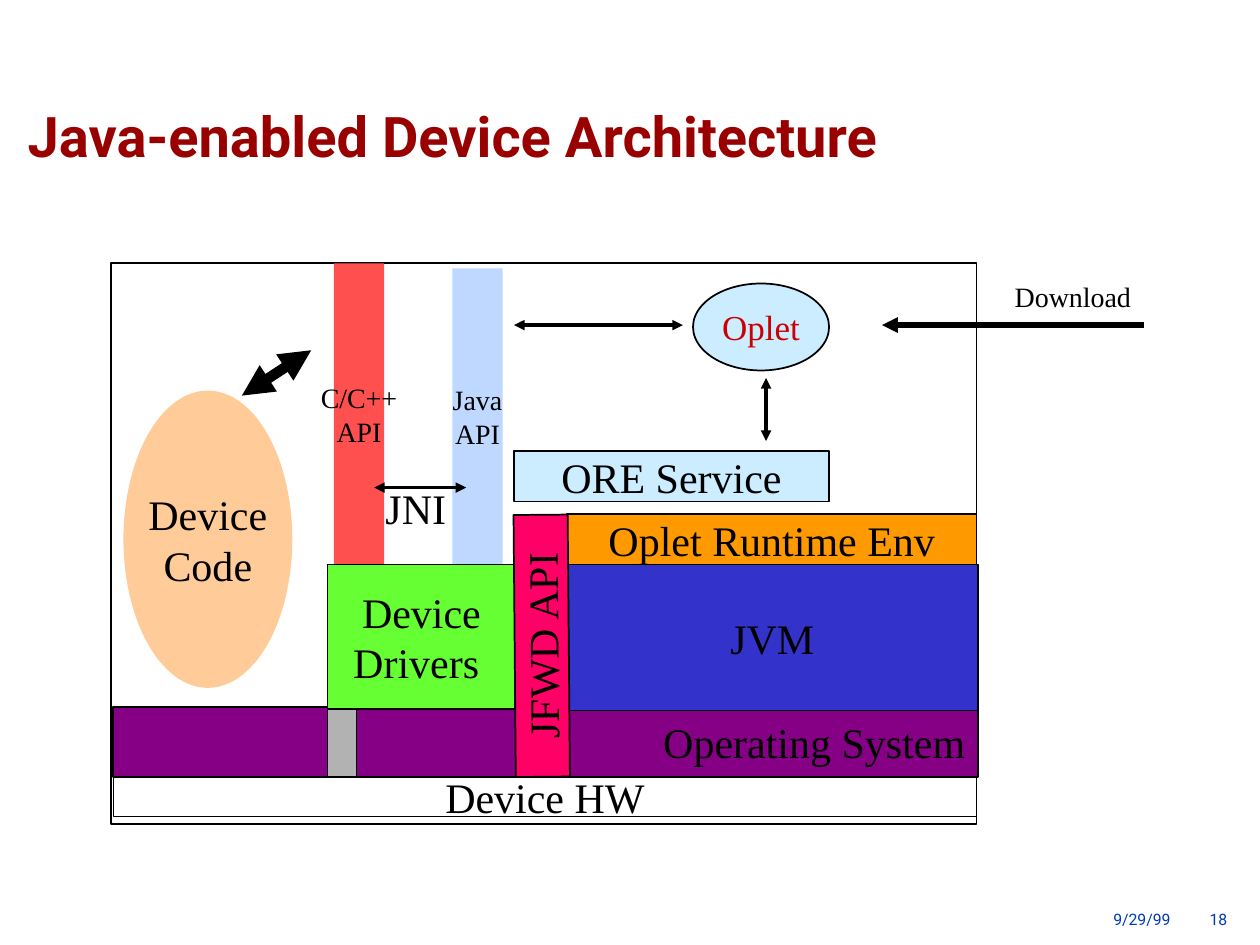
from dataclasses import dataclass
from typing import Optional

import pptx
import pptx.dml.color
import pptx.enum.shapes
import pptx.enum.text
import pptx.oxml
import pptx.oxml.ns
import pptx.util

Inches = pptx.util.Inches
Pt = pptx.util.Pt
Kind = pptx.enum.shapes.MSO_SHAPE
Align = pptx.enum.text.PP_ALIGN
Anchor = pptx.enum.text.MSO_ANCHOR

COLORS = {
    "black": "000000", "maroon": "990000", "navy": "003BB2", "purple": "860086",
    "blue": "3333CC", "sky": "CCECFF", "crimson": "CC0000", "red": "FF5050",
    "pale": "BED8FF", "peach": "FFCC99", "orange": "FF9900", "green": "66FF33",
    "gray": "B2B2B2", "pink": "FF0066",
}
SERIF = "Times New Roman"
SANS = "Roboto"


@dataclass
class Block:
    left: float
    top: float
    width: float
    height: float
    text: str = ""
    fill: Optional[str] = None
    edge: bool = True
    kind: Kind = Kind.RECTANGLE
    size: float = 24
    ink: str = "black"
    align: Align = Align.CENTER
    turn: float = 0


@dataclass
class Label:
    left: float
    top: float
    width: float
    height: float
    text: str
    size: float
    font: str = SERIF
    ink: str = "black"
    bold: bool = False
    align: Align = Align.CENTER
    anchor: Anchor = Anchor.TOP
    inset: tuple[float, float] = (0.1, 0.05)
    spacing: float = 1


@dataclass
class Arrow:
    start: tuple[float, float]
    end: tuple[float, float]
    weight: float = 2
    double: bool = True


BLOCKS = [
    Block(0.88, 2.09, 6.87, 4.45),
    Block(0.9, 6.17, 6.85, 0.31, "Device HW"),
    Block(0.9, 5.61, 6.86, 0.56, "Operating System", "purple", align=Align.RIGHT),
    Block(4.5, 4.48, 3.26, 1.16, "JVM", "blue"),
    Block(5.5, 2.25, 1.08, 0.69, "Oplet", "sky", kind=Kind.OVAL, size=20, ink="crimson"),
    Block(2.65, 2.09, 0.4, 2.4, "C/C++\nAPI", "red", edge=False, size=16),
    Block(3.59, 2.13, 0.4, 2.35, "Java\nAPI", "pale", edge=False, size=16),
    Block(0.98, 3.1, 1.34, 2.36, "Device\nCode", "peach", edge=False, kind=Kind.OVAL),
    Block(4.5, 4.08, 3.25, 0.4, "Oplet Runtime Env", "orange"),
    Block(2.6, 4.48, 1.49, 1.15, "Device\nDrivers ", "green"),
    Block(2.6, 5.63, 0.23, 0.54, fill="gray"),
    Block(3.26, 4.91, 2.08, 0.43, "JFWD API", "pink", turn=269.5),
    Block(4.08, 3.58, 2.5, 0.4, "ORE Service", "sky"),
]
FOOTER = dict(size=9, font=SANS, ink="navy", align=Align.RIGHT, inset=(0.09, 0))
LABELS = [
    Label(0.17, 0.67, 8.59, 0.73, "Java-enabled Device Architecture", 32, SANS,
          "maroon", True, Align.LEFT, Anchor.BOTTOM, (0.05, 0.05), 0.93),
    Label(2.96, 3.78, 0.68, 0.5, "JNI", 24),
    Label(7.5, 2.17, 2.03, 0.36, "Download", 16, anchor=Anchor.MIDDLE),
    Label(8.38, 7.22, 1, 0.17, "9/29/99", **FOOTER),
    Label(9.33, 7.22, 0.5, 0.17, "18", **FOOTER),
]
ARROWS = [
    Arrow((1.92, 3.14), (2.47, 2.78), weight=6),
    Arrow((4.08, 2.58), (5.42, 2.58)),
    Arrow((2.97, 3.87), (3.7, 3.87)),
    Arrow((6.08, 3), (6.08, 3.5)),
    Arrow((9.08, 2.58), (7, 2.58), weight=3, double=False),
]


def tint(name: str) -> pptx.dml.color.RGBColor:
    return pptx.dml.color.RGBColor.from_string(COLORS[name])


def place(item: Block | Label) -> list[int]:
    return [Inches(n) for n in (item.left, item.top, item.width, item.height)]


def write(frame, item: Block | Label, font: str, inset: tuple[float, float],
          anchor: Anchor, wrap: bool) -> None:
    frame.word_wrap = wrap
    frame.vertical_anchor = anchor
    frame.margin_left = frame.margin_right = Inches(inset[0])
    frame.margin_top = frame.margin_bottom = Inches(inset[1])
    frame.text = item.text
    for para in frame.paragraphs:
        para.alignment = item.align
        para.font.name = font
        para.font.size = Pt(item.size)
        para.font.color.rgb = tint(item.ink)


def draw_block(slide, block: Block) -> None:
    shape = slide.shapes.add_shape(block.kind, *place(block))
    shape.shadow.inherit = False
    shape.rotation = block.turn
    if block.fill:
        shape.fill.solid()
        shape.fill.fore_color.rgb = tint(block.fill)
    else:
        shape.fill.background()
    if block.edge:
        shape.line.color.rgb = tint("black")
        shape.line.width = Pt(1)
    else:
        shape.line.fill.background()
    if block.text:
        write(shape.text_frame, block, SERIF, (0.1, 0.05), Anchor.MIDDLE, False)


def draw_label(slide, label: Label) -> None:
    frame = slide.shapes.add_textbox(*place(label)).text_frame
    write(frame, label, label.font, label.inset, label.anchor, True)
    for para in frame.paragraphs:
        para.font.bold = label.bold
        para.line_spacing = label.spacing


def draw_arrow(slide, arrow: Arrow) -> None:
    ends = [Inches(n) for n in (*arrow.start, *arrow.end)]
    line = slide.shapes.add_connector(pptx.enum.shapes.MSO_CONNECTOR.STRAIGHT, *ends)
    line.line.color.rgb = tint("black")
    line.line.width = Pt(arrow.weight)
    tips = ["a:headEnd", "a:tailEnd"] if arrow.double else ["a:tailEnd"]
    for tip in tips:
        node = pptx.oxml.parse_xml(
            f'<{tip} {pptx.oxml.ns.nsdecls("a")} type="triangle"/>')
        line.line._get_or_add_ln().append(node)
    line._element.spPr.append(
        pptx.oxml.parse_xml(f'<a:effectLst {pptx.oxml.ns.nsdecls("a")}/>'))


def main() -> None:
    deck = pptx.Presentation()
    deck.slide_width = Inches(10)
    deck.slide_height = Inches(7.5)
    slide = deck.slides.add_slide(deck.slide_layouts[6])
    for block in BLOCKS:
        draw_block(slide, block)
    for label in LABELS:
        draw_label(slide, label)
    for arrow in ARROWS:
        draw_arrow(slide, arrow)
    deck.save("out.pptx")


if __name__ == "__main__":
    main()
